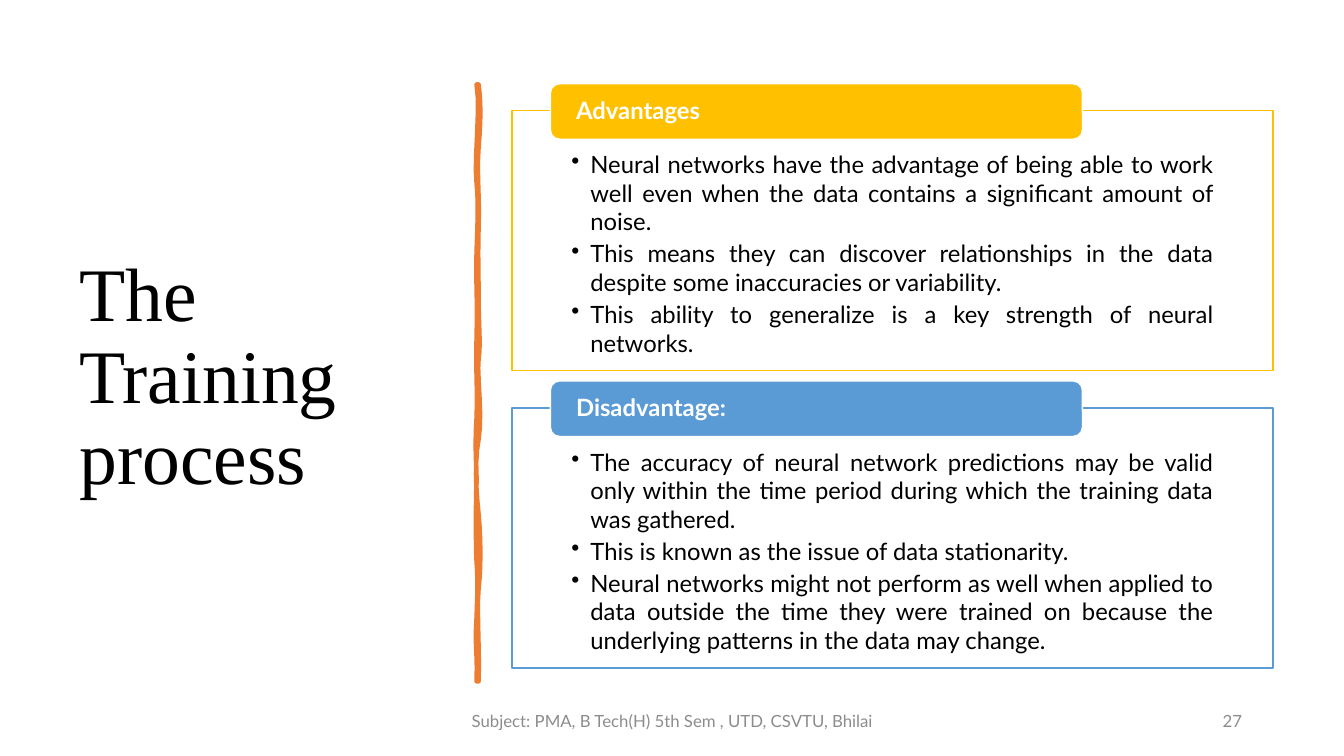
from lxml.etree import SubElement
from pptx import Presentation
from pptx.dml.color import RGBColor
from pptx.enum.shapes import MSO_SHAPE
from pptx.enum.text import MSO_ANCHOR, PP_ALIGN
from pptx.oxml.ns import qn
from pptx.util import Cm, Pt

BLACK = RGBColor(0x00, 0x00, 0x00)
WHITE = RGBColor(0xFF, 0xFF, 0xFF)
GRAY = RGBColor(0x8C, 0x8C, 0x8C)
ORANGE = RGBColor(0xED, 0x7D, 0x31)
GOLD = RGBColor(0xFF, 0xC0, 0x00)
BLUE = RGBColor(0x5B, 0x9B, 0xD5)

# Content
TITLE = "The Training process"
PANELS = [
    ("Advantages", GOLD, [
        "Neural networks have the advantage of being able to work well even when "
        "the data contains a significant amount of noise.",
        "This means they can discover relationships in the data despite some "
        "inaccuracies or variability.",
        "This ability to generalize is a key strength of neural networks.",
    ]),
    ("Disadvantage:", BLUE, [
        "The accuracy of neural network predictions may be valid only within the "
        "time period during which the training data was gathered.",
        "This is known as the issue of data stationarity.",
        "Neural networks might not perform as well when applied to data outside the "
        "time they were trained on because the underlying patterns in the data may change.",
    ]),
]
FOOTER = "Subject: PMA, B Tech(H) 5th Sem , UTD, CSVTU, Bhilai"
PAGE_NUMBER = "27"

# Brush stroke in cm: start point, then two handles and an end point per curve
STROKE_START = (12.06, 2.13)
STROKE_CURVES = [
    ((12.12, 2.59), (12.12, 3.02), (12.06, 3.71)),
    ((12.01, 4.39), (12.09, 4.95), (12.06, 5.74)),
    ((12.04, 6.53), (12.06, 6.65), (12.06, 7.47)),
    ((12.06, 8.26), (12.12, 8.69), (12.06, 9.04)),
    ((12.01, 9.4), (12.17, 10.52), (12.06, 11.07)),
    ((11.96, 11.6), (11.99, 12.29), (12.06, 12.95)),
    ((12.12, 13.61), (12.12, 14.33), (12.06, 14.83)),
    ((12.01, 15.32), (12.09, 16.51), (12.06, 17.17)),
    ((12.04, 17.17), (12.01, 17.17), (12.01, 17.17)),
    ((12.04, 16.41), (11.96, 16.36), (12.01, 15.57)),
    ((12.04, 14.81), (12.04, 14.48), (12.01, 14.15)),
    ((11.99, 13.82), (11.99, 12.57), (12.01, 12.12)),
    ((12.01, 11.66), (11.96, 11.3), (12.01, 10.54)),
    ((12.04, 9.8), (11.99, 9.47), (12.01, 8.51)),
    ((12.04, 7.57), (11.99, 7.14), (12.01, 6.35)),
    ((12.04, 5.54), (12.06, 5.08), (12.01, 4.6)),
    ((11.94, 4.14), (12.12, 2.64), (12.01, 2.13)),
]

# Formats
TITLE_FONT = {"name": "Times New Roman", "size": Pt(54)}
BODY_FONT = {"name": "Lato", "size": Pt(17)}
TAB_FONT = {"name": "Lato", "size": Pt(17), "bold": True}
FOOTER_FONT = {"name": "Lato", "size": Pt(12)}
BODY_SPACING = {"alignment": PP_ALIGN.JUSTIFY, "space_after": Pt(2.5)}
TIGHT = {"alignment": PP_ALIGN.LEFT, "line_spacing": 0.9}

# Layout in cm
PANEL_LEFT, PANEL_TOP, PANEL_WIDTH, PANEL_HEIGHT = 12.9, 2.79, 19.18, 6.55
PANEL_PITCH = 7.49
TAB_INDENT, TAB_RISE, TAB_WIDTH, TAB_HEIGHT = 0.97, 0.68, 13.41, 1.4
BULLET_INDENT = Cm(0.48)


def set_all(target, values):
    for name, value in values.items():
        setattr(target, name, value)


def write(shape, lines, font, color, spacing, anchor=MSO_ANCHOR.MIDDLE,
          margins=(0.25, 0.13, 0.25, 0.13), bulleted=False):
    frame = shape.text_frame
    sides = ("margin_left", "margin_top", "margin_right", "margin_bottom")
    set_all(frame, {"word_wrap": True, "vertical_anchor": anchor})
    set_all(frame, dict(zip(sides, map(Cm, margins))))
    for i, line in enumerate(lines):
        paragraph = frame.add_paragraph() if i else frame.paragraphs[0]
        set_all(paragraph, spacing)
        if bulleted:
            properties = paragraph._p.get_or_add_pPr()
            properties.set("marL", str(BULLET_INDENT))
            properties.set("indent", str(-BULLET_INDENT))
            SubElement(properties, qn("a:buChar")).set("char", "•")
        paragraph.text = line
        set_all(paragraph.font, font)
        paragraph.font.color.rgb = color


def paint(shape, fill, line, width):
    shape.shadow.inherit = False
    shape.fill.solid()
    shape.fill.fore_color.rgb = fill
    shape.line.color.rgb = line
    shape.line.width = Pt(width)


def curve_points(start, curves, steps=6):
    for first, second, end in curves:
        for t in (step / steps for step in range(1, steps + 1)):
            weights = ((1 - t) ** 3, 3 * t * (1 - t) ** 2, 3 * t * t * (1 - t), t ** 3)
            corners = (start, first, second, end)
            yield tuple(Cm(sum(w * c[axis] for w, c in zip(weights, corners)))
                        for axis in (0, 1))
        start = end


deck = Presentation()
deck.slide_width, deck.slide_height = Cm(33.87), Cm(19.05)
slide = deck.slides.add_slide(deck.slide_layouts[6])
shapes = slide.shapes

# Title
title = shapes.add_textbox(Cm(1.75), Cm(1.78), Cm(9.5), Cm(15.52))
write(title, [TITLE], TITLE_FONT, BLACK, TIGHT)

# Brush stroke
outline = shapes.build_freeform(*map(Cm, STROKE_START))
outline.add_line_segments(list(curve_points(STROKE_START, STROKE_CURVES)), close=True)
stroke = outline.convert_to_shape()
paint(stroke, ORANGE, ORANGE, 3.25)
SubElement(stroke.line._get_or_add_ln(), qn("a:round"))

# Panels with their heading tabs
for row, (heading, color, points) in enumerate(PANELS):
    top = PANEL_TOP + row * PANEL_PITCH
    panel = shapes.add_shape(MSO_SHAPE.RECTANGLE, Cm(PANEL_LEFT), Cm(top),
                             Cm(PANEL_WIDTH), Cm(PANEL_HEIGHT))
    paint(panel, WHITE, color, 1)
    write(panel, points, BODY_FONT, BLACK, BODY_SPACING, MSO_ANCHOR.TOP,
          (1.5, 0.99, 1.5, 0.33), bulleted=True)
    tab = shapes.add_shape(MSO_SHAPE.ROUNDED_RECTANGLE, Cm(PANEL_LEFT + TAB_INDENT),
                           Cm(top - TAB_RISE), Cm(TAB_WIDTH), Cm(TAB_HEIGHT))
    paint(tab, color, WHITE, 1)
    write(tab, [heading], TAB_FONT, WHITE, TIGHT, margins=(0.58, 0, 0.58, 0))

# Footer and page number
for text, left, width, alignment in [
    (FOOTER, 11.23, 11.43, PP_ALIGN.CENTER),
    (PAGE_NUMBER, 23.93, 7.62, PP_ALIGN.RIGHT),
]:
    note = shapes.add_textbox(Cm(left), Cm(17.65), Cm(width), Cm(1.02))
    write(note, [text], FOOTER_FONT, GRAY, {"alignment": alignment})

deck.save("out.pptx")
